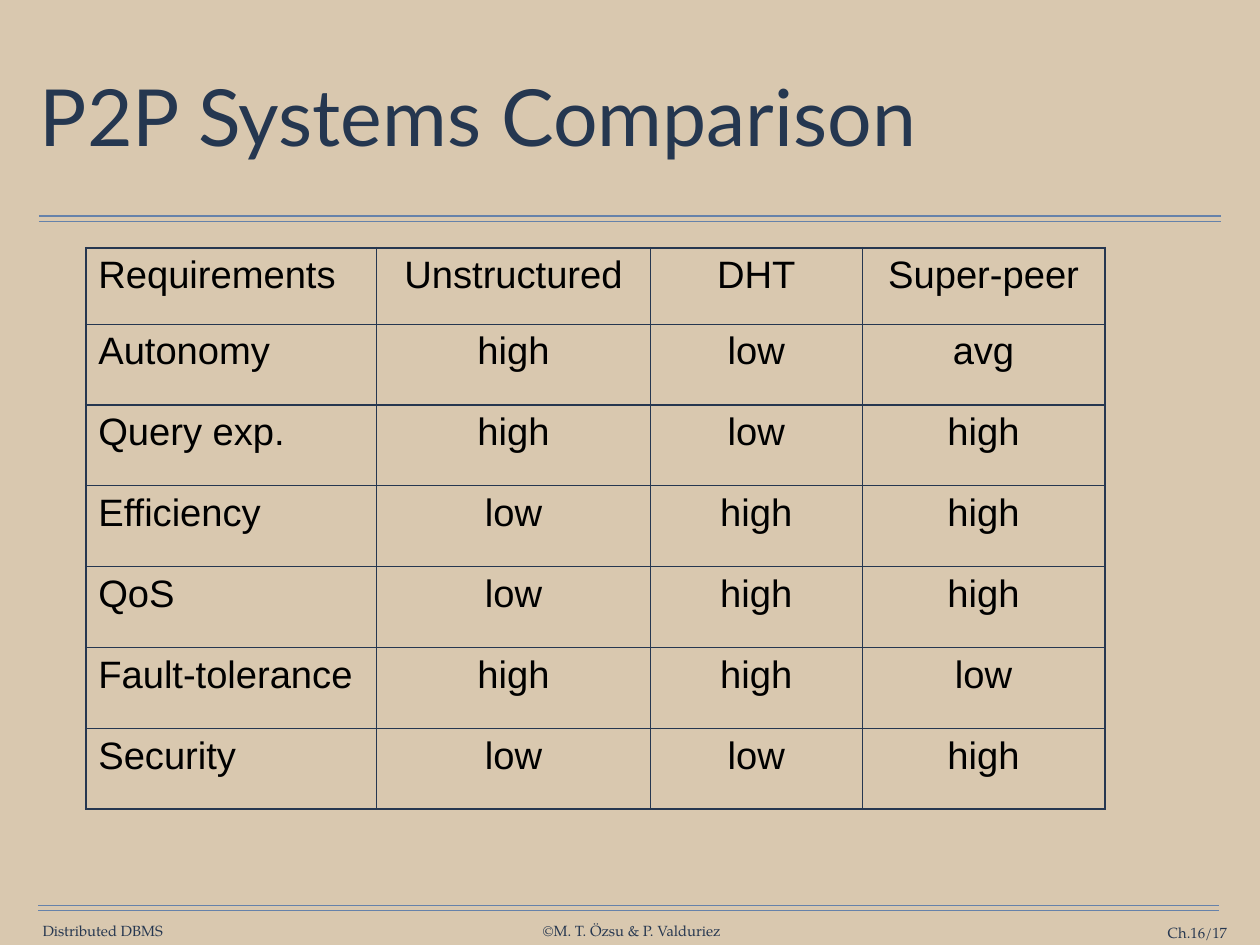
from dataclasses import dataclass

from lxml.etree import SubElement
from pptx import Presentation
from pptx.dml.color import RGBColor
from pptx.enum.shapes import MSO_CONNECTOR
from pptx.enum.text import MSO_ANCHOR, PP_ALIGN
from pptx.oxml.ns import qn
from pptx.slide import Slide
from pptx.table import _Cell as Cell
from pptx.text.text import _Paragraph as Paragraph
from pptx.util import Inches, Pt

NAVY = "263750"
RULE_BLUE = "6682AA"
FOOTER_FONT = "TeX Gyre Pagella"


@dataclass
class Label:
    text: str
    left: float
    top: float
    width: float
    height: float
    size: float = 12
    font: str = FOOTER_FONT
    color: str = NAVY
    align: PP_ALIGN = PP_ALIGN.CENTER
    inset: float = 0
    wrap: bool = False
    line_spacing: float = 1.0


@dataclass
class DoubleRule:
    left: float
    right: float
    top: float
    gap: float = 0.06


LABELS = [
    Label("Distributed DBMS", 0.47, 10.41, 1.38, 0.2),
    Label("©M. T. Özsu & P. Valduriez", 6.11, 10.41, 2.04, 0.2),
    Label("Ch.16/17", 12.31, 10.43, 1.54, 0.2, align=PP_ALIGN.RIGHT, wrap=True),
    Label("P2P Systems Comparison", 0.39, 0.49, 13.44, 1.76, size=64, font="Lato",
          color="253750", align=PP_ALIGN.LEFT, inset=0.06, wrap=True, line_spacing=0.9),
]
RULES = [DoubleRule(0.44, 13.78, 2.44), DoubleRule(0.43, 13.76, 10.22)]

COMPARISON = [
    ("Requirements", "Unstructured", "DHT", "Super-peer"),
    ("Autonomy", "high", "low", "avg"),
    ("Query exp.", "high", "low", "high"),
    ("Efficiency", "low", "high", "high"),
    ("QoS", "low", "high", "high"),
    ("Fault-tolerance", "high", "high", "low"),
    ("Security", "low", "low", "high"),
]
COLUMN_WIDTHS = [3.28, 3.09, 2.39, 2.74]
ROW_HEIGHTS = [0.86] + [0.913] * 6


def rgb(color: str) -> RGBColor:
    return RGBColor.from_string(color)


def add_run(paragraph: Paragraph, text: str, font: str, size: float, color: str) -> None:
    run = paragraph.add_run()
    run.text = text
    run.font.name = font
    run.font.size = Pt(size)
    run.font.color.rgb = rgb(color)


def draw_label(slide: Slide, label: Label) -> None:
    shape = slide.shapes.add_textbox(Inches(label.left), Inches(label.top),
                                     Inches(label.width), Inches(label.height))
    frame = shape.text_frame
    frame.word_wrap = label.wrap
    frame.vertical_anchor = MSO_ANCHOR.MIDDLE
    frame.margin_left = frame.margin_right = Inches(label.inset)
    frame.margin_top = frame.margin_bottom = Inches(label.inset)
    paragraph = frame.paragraphs[0]
    paragraph.alignment = label.align
    paragraph.line_spacing = label.line_spacing
    add_run(paragraph, label.text, label.font, label.size, label.color)


def draw_rule(slide: Slide, rule: DoubleRule) -> None:
    for top in (rule.top, rule.top + rule.gap):
        line = slide.shapes.add_connector(MSO_CONNECTOR.STRAIGHT, Inches(rule.left), Inches(top),
                                          Inches(rule.right), Inches(top))
        line.line.color.rgb = rgb(RULE_BLUE)
        line.line.width = Pt(1)
        SubElement(line._element.spPr, qn("a:effectLst"))


def set_borders(cell: Cell, outer_sides: dict[str, bool]) -> None:
    properties = cell._tc.get_or_add_tcPr()
    for side, is_outer in outer_sides.items():
        width = Pt(2.25 if is_outer else 1)
        border = SubElement(properties, qn(f"a:ln{side}"), w=str(int(width)))
        fill = SubElement(border, qn("a:solidFill"))
        SubElement(fill, qn("a:srgbClr"), val=NAVY)


def draw_comparison(slide: Slide) -> None:
    last_row, last_column = len(COMPARISON) - 1, len(COLUMN_WIDTHS) - 1
    table = slide.shapes.add_table(len(COMPARISON), len(COLUMN_WIDTHS), Inches(0.97), Inches(2.8),
                                   Inches(sum(COLUMN_WIDTHS)), Inches(sum(ROW_HEIGHTS))).table
    table.first_row = table.horz_banding = False
    for column, width in zip(table.columns, COLUMN_WIDTHS):
        column.width = Inches(width)
    for row, height in zip(table.rows, ROW_HEIGHTS):
        row.height = Inches(height)
    for row_index, values in enumerate(COMPARISON):
        for column_index, value in enumerate(values):
            cell = table.cell(row_index, column_index)
            cell.margin_left = cell.margin_right = Inches(0.14)
            cell.margin_top = cell.margin_bottom = Inches(0.07)
            set_borders(cell, {"L": column_index == 0, "R": column_index == last_column,
                               "T": row_index == 0, "B": row_index == last_row})
            cell.fill.background()
            paragraph = cell.text_frame.paragraphs[0]
            paragraph.alignment = PP_ALIGN.CENTER if column_index else PP_ALIGN.LEFT
            add_run(paragraph, value, "Arial", 31, "000000")


def main() -> None:
    presentation = Presentation()
    presentation.slide_width = Inches(14.22)
    presentation.slide_height = Inches(10.67)
    slide = presentation.slides.add_slide(presentation.slide_layouts[6])
    slide.background.fill.solid()
    slide.background.fill.fore_color.rgb = rgb("D9C8AF")
    for rule in RULES:
        draw_rule(slide, rule)
    for label in LABELS:
        draw_label(slide, label)
    draw_comparison(slide)
    presentation.save("out.pptx")


if __name__ == "__main__":
    main()
